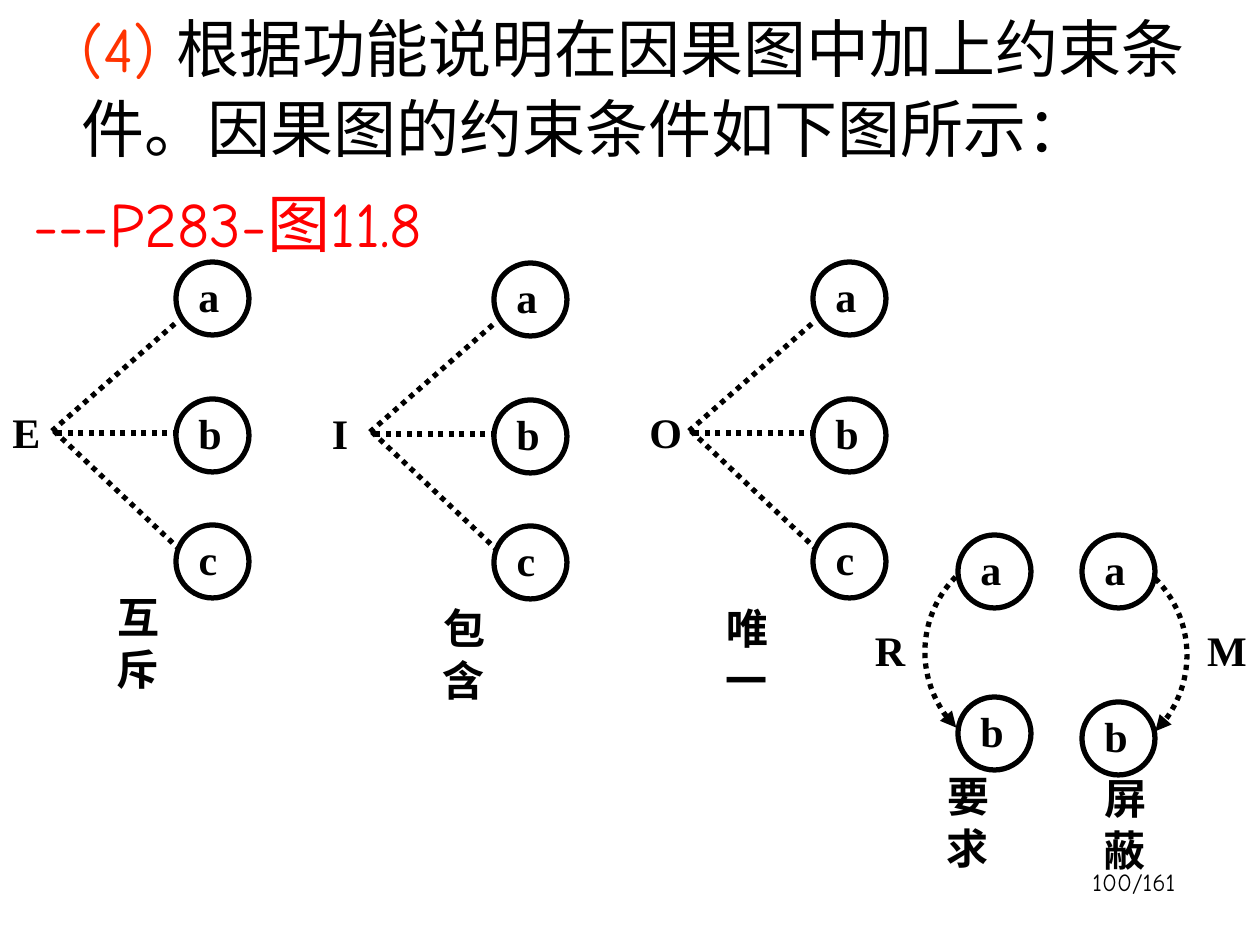
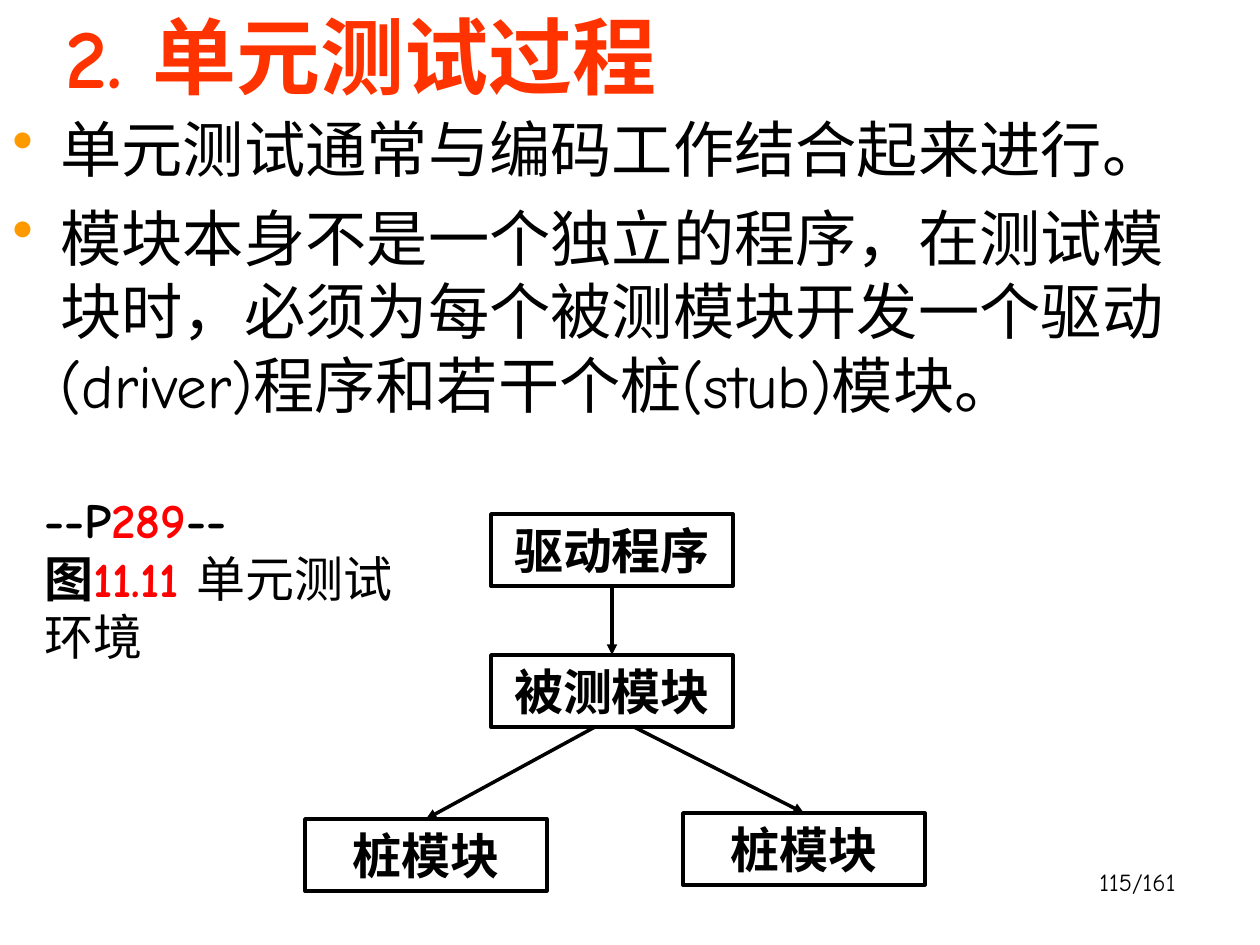
import pptx
import pptx.util
import pptx.dml.color
import pptx.enum.dml
import pptx.enum.shapes
import pptx.enum.text
import pptx.oxml
import pptx.oxml.ns

SCALE = 914400 / 126  # EMU in one px
BLACK, RED, ORANGE, AMBER = "000000", "FF0000", "FF3300", "FF9900"
HAND, SERIF = "Comic Neue", "Times New Roman"
NODE = 73
HANG = 48
ALIGN = pptx.enum.text.PP_ALIGN
ANCHOR = pptx.enum.text.MSO_ANCHOR
SHAPE = pptx.enum.shapes.MSO_SHAPE


def px(*sizes):
    return [pptx.util.Emu(round(size * SCALE)) for size in sizes]


def rgb(code):
    return pptx.dml.color.RGBColor.from_string(code)


def make(tag, parent, **attrs):
    """Append a DrawingML element to parent."""
    item = pptx.oxml.parse_xml(f"<a:{tag} {pptx.oxml.ns.nsdecls('a')}/>")
    for name, value in attrs.items():
        item.set(name, value)
    parent.append(item)
    return item


def style(font, size, face=HAND, color=BLACK, bold=False):
    font.size = pptx.util.Pt(size)
    font.name = face
    font.bold = bold
    font.color.rgb = rgb(color)


def write(para, parts, size, face=HAND, color=BLACK, bold=False, align=ALIGN.LEFT):
    """Fill a paragraph; a part is a text or (text, color, bold)."""
    para.alignment = align
    style(para.font, size, face, color, bold)
    for part in parts:
        run = para.add_run()
        if isinstance(part, str):
            run.text = part
        else:
            run.text, tint, run.font.bold = part
            run.font.color.rgb = rgb(tint)


def indent(para, left, first):
    props = para._p.get_or_add_pPr()
    for name, size in zip(("marL", "indent"), px(left, first)):
        props.set(name, str(size))
    return props


def add_box(slide, *place, wrap=True):
    frame = slide.shapes.add_textbox(*px(*place)).text_frame
    frame.word_wrap = wrap
    return frame


def add_label(slide, text, *place):
    frame = add_box(slide, *place, wrap=False)
    frame.vertical_anchor = ANCHOR.MIDDLE
    para = frame.paragraphs[0]
    para.line_spacing = 1.05
    write(para, [text], 24, SERIF, bold=True, align=ALIGN.CENTER)


def add_page(slide, text):
    write(add_box(slide, 926, 861, 262, 63).paragraphs[0], [text], 14, align=ALIGN.RIGHT)


def ink(item, width, dotted=False, arrow=None):
    """Set the outline; arrow is headEnd or tailEnd."""
    line = item.line
    line.color.rgb = rgb(BLACK)
    line.width = pptx.util.Pt(width)
    if dotted:
        line.dash_style = pptx.enum.dml.MSO_LINE.ROUND_DOT
    if arrow:
        make(arrow, line._get_or_add_ln(), type="triangle")


def add_shape(slide, kind, *place):
    shape = slide.shapes.add_shape(kind, *px(*place))
    shape.shadow.inherit = False
    shape.fill.background()
    return shape


def add_line(slide, *ends, **look):
    kind = pptx.enum.shapes.MSO_CONNECTOR.STRAIGHT
    line = slide.shapes.add_connector(kind, *px(*ends))
    ink(line, **look)
    make("effectLst", line._element.spPr)
    return line


def add_node(slide, text, x, y):
    ink(add_shape(slide, SHAPE.OVAL, x, y, NODE, NODE), 3)
    add_label(slide, text, x + 10, y, 44, 65)


def add_fan(slide, mark, x, y):
    """Draw a constraint mark tied to nodes a, b and c."""
    for text, top in zip("abc", (262, 399, 525)):
        add_node(slide, text, x + 176, y + top)
    add_label(slide, mark, x, y + 398, 44, 65)
    for x1, y1, x2, y2 in ((178, 433, 52, 433), (52, 431, 178, 321), (54, 431, 178, 548)):
        add_line(slide, x + x1, y + y1, x + x2, y + y2, width=3, dotted=True)


def add_arc(slide, x, y, radius, start, arrow):
    """Draw a quarter circle about (x, y), clockwise from start degrees."""
    arc = add_shape(slide, SHAPE.ARC, x - radius, y - radius, 2 * radius, 2 * radius)
    for spot, angle in enumerate((start, (start + 90) % 360)):
        arc.adjustments[spot] = angle * 0.6
    ink(arc, 3, dotted=True, arrow=arrow)


def add_module(slide, text, x, y):
    box = add_shape(slide, SHAPE.RECTANGLE, x, y, 242, 72)
    ink(box, 2)
    frame = box.text_frame
    frame.vertical_anchor = ANCHOR.MIDDLE
    write(frame.paragraphs[0], [text], 28, SERIF, bold=True, align=ALIGN.CENTER)
    return box


def build_limits(deck):
    slide = deck.slides.add_slide(deck.slide_layouts[6])
    add_page(slide, "100/161")
    frame = add_box(slide, 21, 0, 1187, 328)
    intro = [("(4) ", ORANGE, False), "根据功能说明在因果图中加上约束条件。因果图的约束条件如下图所示："]
    rows = ((intro, BLACK, 0), (["---P283-图11.8"], RED, -HANG))
    for row, (parts, color, first) in enumerate(rows):
        para = frame.add_paragraph() if row else frame.paragraphs[0]
        indent(para, HANG, first)
        para.line_spacing = 1.05
        para.space_before = pptx.util.Pt(9)
        write(para, parts, 36, color=color)

    for mark, x, y in (("E", 0, 0), ("I", 318, 1), ("O", 637, 0)):
        add_fan(slide, mark, x, y)
    for text, x, y in (("a", 958, 535), ("b", 958, 697), ("a", 1082, 535), ("b", 1082, 702)):
        add_node(slide, text, x, y)
    add_arc(slide, 1032, 652, 107, 135, "headEnd")
    add_arc(slide, 1079, 655, 108, 315, "tailEnd")
    add_label(slide, "R", 861, 616, 58, 65)
    add_label(slide, "M", 1194, 616, 66, 65)

    names = (("互斥", 84, 609), ("包含", 410, 620), ("唯一", 693, 620),
             ("要求", 914, 788), ("屏蔽", 1071, 790))
    for name, x, y in names:
        add_label(slide, name, x, y, 108, 65)


def build_units(deck):
    slide = deck.slides.add_slide(deck.slide_layouts[5])
    add_page(slide, "115/161")
    title = slide.shapes.title
    title.left, title.top, title.width, title.height = px(53, 21, 937, 91)
    title.text_frame.auto_size = pptx.enum.text.MSO_AUTO_SIZE.NONE
    title.text_frame.vertical_anchor = ANCHOR.BOTTOM
    write(title.text_frame.paragraphs[0], ["2. 单元测试过程"], 48, color=ORANGE, bold=True)

    frame = add_box(slide, 0, 105, 1189, 924)
    points = ("单元测试通常与编码工作结合起来进行。",
              "模块本身不是一个独立的程序，在测试模块时，必须为每个被测模块开发一个驱动(driver)程序和若干个桩(stub)模块。")
    for row, point in enumerate(points):
        para = frame.add_paragraph() if row else frame.paragraphs[0]
        props = indent(para, HANG, -HANG)
        make("srgbClr", make("buClr", props), val=AMBER)
        make("buChar", props, char="•")
        para.space_before = pptx.util.Pt(8.8)
        write(para, [point], 35)

    driver = add_module(slide, "驱动程序", 491, 514)
    tested = add_module(slide, "被测模块", 491, 655)
    left = add_module(slide, "桩模块", 305, 819)
    right = add_module(slide, "桩模块", 683, 813)
    call = add_line(slide, 612, 586, 612, 655, width=2, arrow="tailEnd")
    call.begin_connect(driver, 2)
    call.end_connect(tested, 0)
    for start, stub in ((634, right), (595, left)):
        add_line(slide, start, 727, start, 813, width=2, arrow="tailEnd").end_connect(stub, 0)

    note = add_box(slide, 32, 483, 388, 189)
    write(note.paragraphs[0], ["--P", ("289", RED, True), "--"], 28, bold=True)
    caption = ["图", ("11.11 ", RED, True), ("单元测试环境", BLACK, False)]
    write(note.add_paragraph(), caption, 28, bold=True)


def main():
    deck = pptx.Presentation()
    deck.slide_width, deck.slide_height = px(1260, 945)
    build_limits(deck)
    build_units(deck)
    deck.save("out.pptx")


if __name__ == "__main__":
    main()
